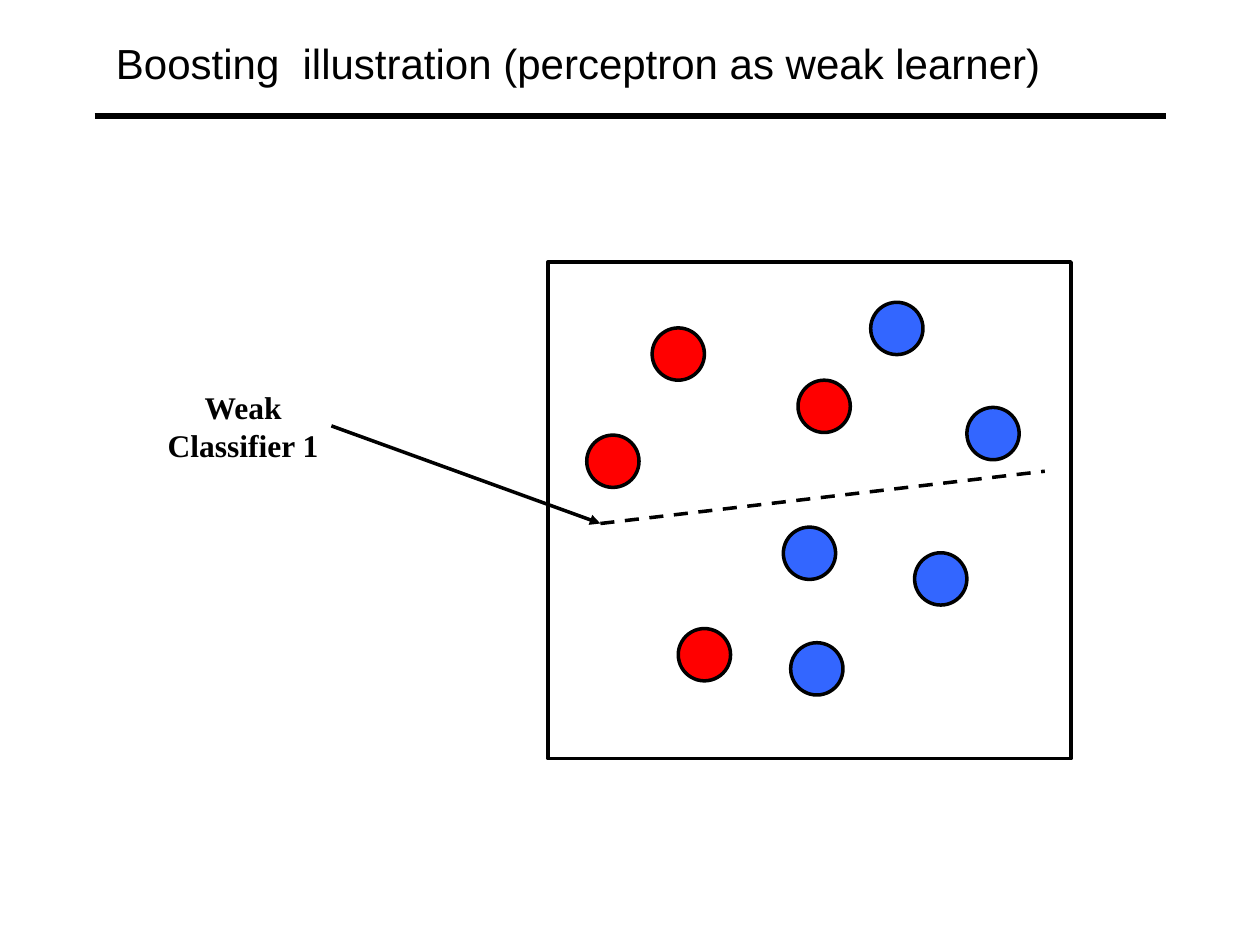
from pptx import Presentation
from pptx.dml.color import RGBColor
from pptx.enum.dml import MSO_LINE_DASH_STYLE as Dash
from pptx.enum.shapes import MSO_CONNECTOR as Conn, MSO_SHAPE as Kind
from pptx.enum.text import MSO_ANCHOR as Anchor, PP_ALIGN as Align
from pptx.oxml.ns import qn
from pptx.util import Inches, Pt
from lxml.etree import SubElement

WIDE, HIGH = 10, 7.5
CELL = 0.415  # side of a grid cell, and of a dot
BLACK, RED, BLUE = "000000", "FF0000", "3366FF"

# Dot centres, in columns and rows of the panel
DOTS = {
    RED: [(2.49, 1.76), (5.28, 2.76), (1.24, 3.81), (2.99, 7.51)],
    BLUE: [(6.67, 1.27), (8.51, 3.28), (7.51, 6.06), (5, 5.57), (5.14, 7.78)],
}
SPLIT = (1, 5), (9.5, 4)


def color(code):
    return RGBColor.from_string(code)


def inches(*nums):
    return [Inches(n) for n in nums]


def write(shape, text, font="Arial", size=18, bold=False,
          align=Align.LEFT, anchor=Anchor.MIDDLE, wrap=True):
    frame = shape.text_frame
    frame.text = text
    frame.word_wrap = wrap
    frame.vertical_anchor = anchor
    for para in frame.paragraphs:
        para.alignment = align
        para.font.name = font
        para.font.size = Pt(size)
        para.font.bold = bold
        para.font.color.rgb = color(BLACK)


def draw(slide, kind, box, fill=None):
    shape = slide.shapes.add_shape(kind, *inches(*box))
    shape.shadow.inherit = False
    if fill:
        shape.fill.solid()
        shape.fill.fore_color.rgb = color(fill)
    else:
        shape.fill.background()
    shape.line.color.rgb = color(BLACK)
    shape.line.width = Pt(2)
    return shape


def join(slide, start, end, width=2, dash=None, arrow=False):
    link = slide.shapes.add_connector(Conn.STRAIGHT, *inches(*start, *end))
    link.line.color.rgb = color(BLACK)
    link.line.width = Pt(width)
    if dash:
        link.line.dash_style = dash
    if arrow:
        SubElement(link.line._get_or_add_ln(), qn("a:tailEnd"), type="triangle")
    SubElement(link._element.spPr, qn("a:effectLst"))
    return link


def head(slide, box, text):
    """Place the title in the box, with a rule near its lower edge."""
    title = slide.shapes.title
    title.left, title.top, title.width, title.height = inches(*box)
    write(title, text, size=24)
    rule = 0.92
    side = 0.075 * WIDE
    join(slide, (side, rule), (WIDE - side, rule), width=3)


def panel(slide, box):
    """Draw the dots and their dividing line; return the line's left end."""
    left, top = box[:2]

    def spot(col, row):
        return left + col * CELL, top + row * CELL

    for fill, spots in DOTS.items():
        for col, row in spots:
            x, y = spot(col - 0.5, row - 0.5)
            draw(slide, Kind.OVAL, (x, y, CELL, CELL), fill)
    start, end = (spot(*point) for point in SPLIT)
    join(slide, start, end, dash=Dash.DASH)
    draw(slide, Kind.RECTANGLE, box)
    return start


def label(slide, box, text, goal):
    """Write the label, with an arrow from its right side to the goal."""
    note = slide.shapes.add_textbox(*inches(*box))
    write(note, text, font="Times New Roman", bold=True,
          align=Align.CENTER, anchor=Anchor.TOP, wrap=False)
    link = join(slide, box[:2], goal, arrow=True)
    link.begin_connect(note, 3)


def main():
    deck = Presentation()
    deck.slide_width, deck.slide_height = inches(WIDE, HIGH)
    slide = deck.slides.add_slide(deck.slide_layouts[5])
    head(slide, (0.82, 0.04, 0.85 * WIDE, 0.92),
         "Boosting  illustration (perceptron as weak learner)")
    goal = panel(slide, (4.35, 2.08, 10 * CELL, 9.5 * CELL))
    label(slide, (1.23, 3.03, 1.4, 0.7), "Weak\nClassifier 1", goal)
    deck.save("out.pptx")


if __name__ == "__main__":
    main()
